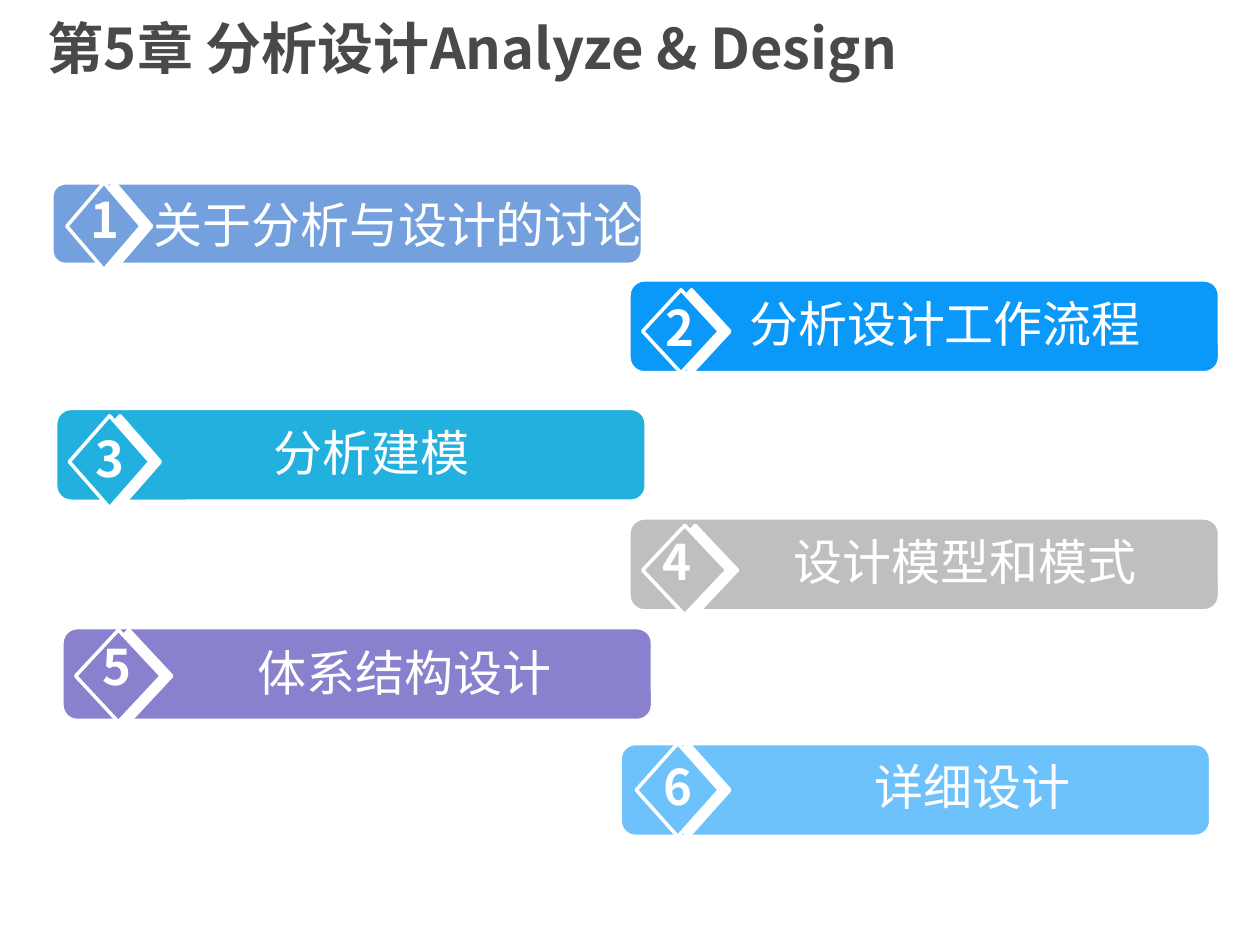
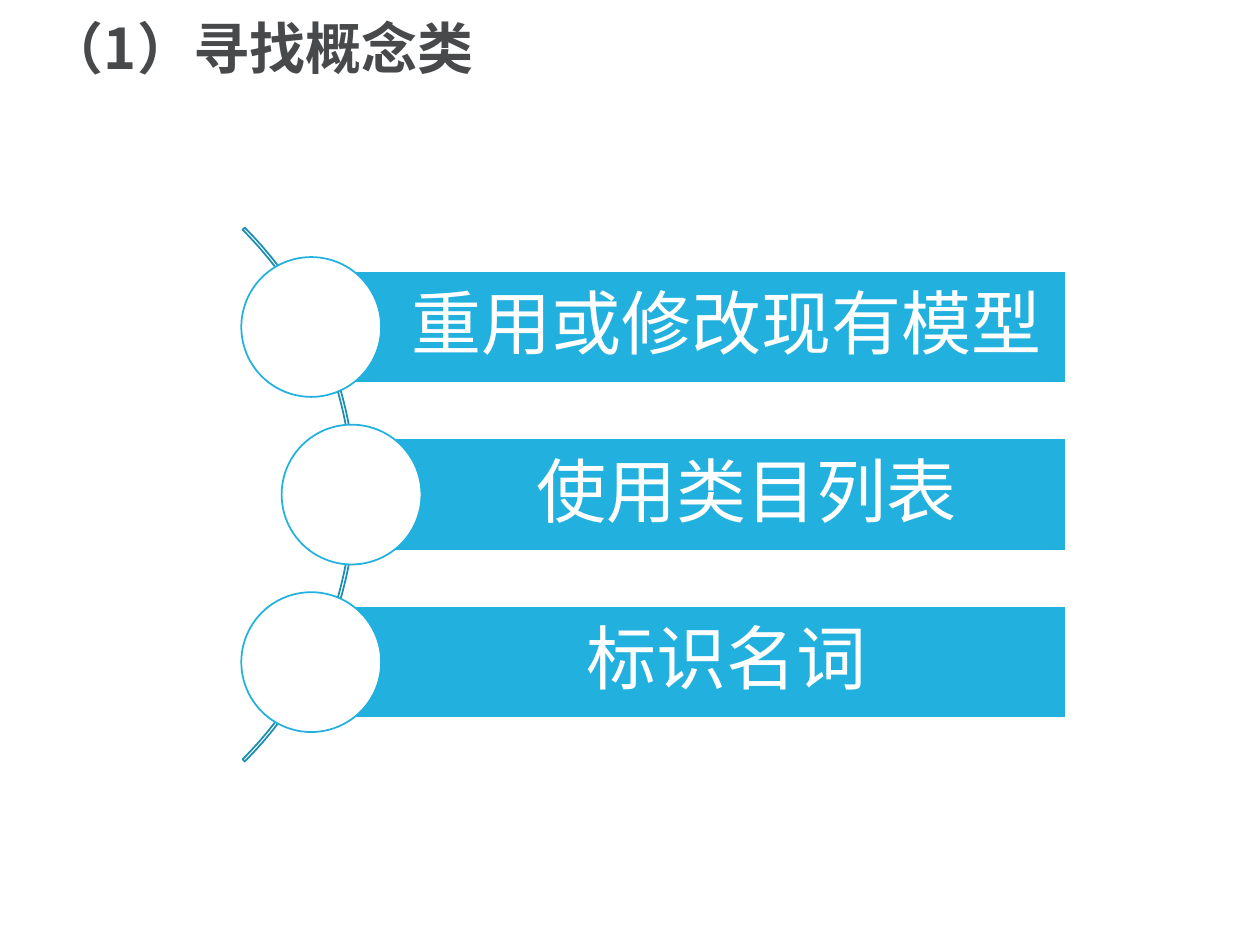
"""Build the chapter 5 outline slide and the concept class slide."""
from lxml import etree
from pptx import Presentation
from pptx.dml.color import RGBColor
from pptx.enum.shapes import MSO_SHAPE
from pptx.enum.text import MSO_ANCHOR, MSO_AUTO_SIZE, PP_ALIGN
from pptx.oxml.ns import qn
from pptx.util import Inches, Pt

COLORS = {
    "title": "47494B", "white": "FFFFFF", "arc": "1B8EB2",
    "steel": "74A1DE", "blue": "0B99F9", "cyan": "22B1DE",
    "gray": "BFBFBF", "violet": "8980CE", "sky": "6DC2FB",
}
JP_FONT, SC_FONT = "Noto Sans CJK JP", "Noto Sans CJK SC"

prs = Presentation()
prs.slide_width, prs.slide_height = Inches(10), Inches(7.5)
COL, ROW = prs.slide_width / 100, prs.slide_height / 75


def write(shape, text, size=28, color="white", font=JP_FONT, east_asian=None,
          bold=False, align=PP_ALIGN.CENTER, spacing=1.0, insets=(0, 0, 0, 0)):
    frame = shape.text_frame
    frame.auto_size = MSO_AUTO_SIZE.NONE
    frame.word_wrap = True
    frame.vertical_anchor = MSO_ANCHOR.MIDDLE
    (frame.margin_left, frame.margin_top,
     frame.margin_right, frame.margin_bottom) = [Inches(inset) for inset in insets]
    paragraph = frame.paragraphs[0]
    paragraph.alignment, paragraph.line_spacing = align, spacing
    run = paragraph.add_run()
    run.text = text
    run.font.size, run.font.bold, run.font.name = Pt(size), bold, font
    run.font.color.rgb = RGBColor.from_string(COLORS[color])
    etree.SubElement(run.font._element, qn("a:ea"), typeface=east_asian or font)


def draw(slide, kind, col, row, cols, rows, line, weight, fill=None):
    shape = slide.shapes.add_shape(
        kind, int(col * COL), int(row * ROW), int(cols * COL), int(rows * ROW))
    shape.shadow.inherit = False
    if fill:
        shape.fill.solid()
        shape.fill.fore_color.rgb = RGBColor.from_string(COLORS[fill])
    else:
        shape.fill.background()
    shape.line.color.rgb = RGBColor.from_string(COLORS[line])
    shape.line.width = Pt(weight)
    return shape


slides = []
for heading, heading_font in (("第5章 分析设计Analyze & Design", JP_FONT),
                              ("（1）寻找概念类", SC_FONT)):
    slide = prs.slides.add_slide(prs.slide_layouts[5])
    title = slide.shapes.title
    title.left, title.top = int(2.8 * COL), int(0.6 * ROW)
    title.width, title.height = int(92 * COL), int(7 * ROW)
    write(title, heading, size=32, color="title", font=heading_font, bold=True,
          align=PP_ALIGN.LEFT, spacing=0.9, insets=(0.1, 0.05, 0.1, 0.05))
    slides.append(slide)
outline, concepts = slides

TOPICS = [
    ("关于分析与设计的讨论", "steel", (4.1, 14.5, 6.5), (5.3, 14.5, 5.9, 6.9),
     (6.5, 14.5, 3.7), (11.1, 14.9, 41)),
    ("分析设计工作流程", "blue", (49.9, 22.2, 7.4), (51, 23, 6.1, 6.6),
     (51.6, 23.1, 4.7), (55.5, 22.8, 39)),
    ("分析建模", "cyan", (4.4, 32.4, 7.4), (5.5, 33, 6.4, 7.3),
     (7, 33.5, 3.4), (10, 33, 39)),
    ("设计模型和模式", "gray", (49.9, 41.1, 7.4), (51, 41.7, 6.7, 7.1),
     (52, 41.7, 3.4), (57.1, 41.7, 39)),
    ("体系结构设计", "violet", (4.9, 49.8, 7.4), (6, 50, 6.8, 7.3),
     (6.9, 50, 4.8), (7.7, 50.5, 48.8)),
    ("详细设计", "sky", (49.2, 59, 7.4), (50.5, 59, 6.6, 7.4),
     (51.4, 59.5, 4.8), (57.7, 59.5, 39)),
]
BAND_COLS, TEXT_ROWS = 46.9, 5.7

for number, (topic, color, band, diamond, digit, label) in enumerate(TOPICS, 1):
    col, row, rows = band
    draw(outline, MSO_SHAPE.ROUNDED_RECTANGLE, col, row, BAND_COLS, rows,
         line="white", weight=2.25, fill=color)
    marker = draw(outline, MSO_SHAPE.DIAMOND, *diamond,
                  line="white", weight=2, fill=color)
    shadow = etree.SubElement(
        marker._element.spPr.find(qn("a:effectLst")), qn("a:outerShdw"),
        dist=str(Pt(6)), dir="0", algn="ctr", rotWithShape="0")
    etree.SubElement(shadow, qn("a:srgbClr"), val=COLORS["white"])
    for text, (col, row, cols), bold in ((str(number), digit, True),
                                         (topic, label, False)):
        caption = outline.shapes.add_textbox(
            int(col * COL), int(row * ROW), int(cols * COL), int(TEXT_ROWS * ROW))
        write(caption, text, bold=bold)

arc = draw(concepts, MSO_SHAPE.BLOCK_ARC, -31.7, 9.3, 59.9, 59.9,
           line="arc", weight=1)
for index, value in enumerate((189, 27, 0.004)):
    arc.adjustments[index] = value

METHODS = [("重用或修改现有模型", 24.7), ("使用类目列表", 27.9), ("标识名词", 24.7)]
BAR_RIGHT, BAR_TOP, BAR_ROWS, BAR_STEP, CIRCLE = 84.6, 21.5, 8.9, 13.3, 11.1

for index, (method, col) in enumerate(METHODS):
    row = BAR_TOP + index * BAR_STEP
    bar = draw(concepts, MSO_SHAPE.RECTANGLE, col, row, BAR_RIGHT - col, BAR_ROWS,
               line="white", weight=1, fill="cyan")
    write(bar, method, size=40, font="Calibri", east_asian=SC_FONT,
          spacing=0.9, insets=(0.71, 0.11, 0.11, 0.11))
    draw(concepts, MSO_SHAPE.OVAL, col - CIRCLE / 2, row + (BAR_ROWS - CIRCLE) / 2,
         CIRCLE, CIRCLE, line="cyan", weight=1, fill="white")

prs.save("out.pptx")
